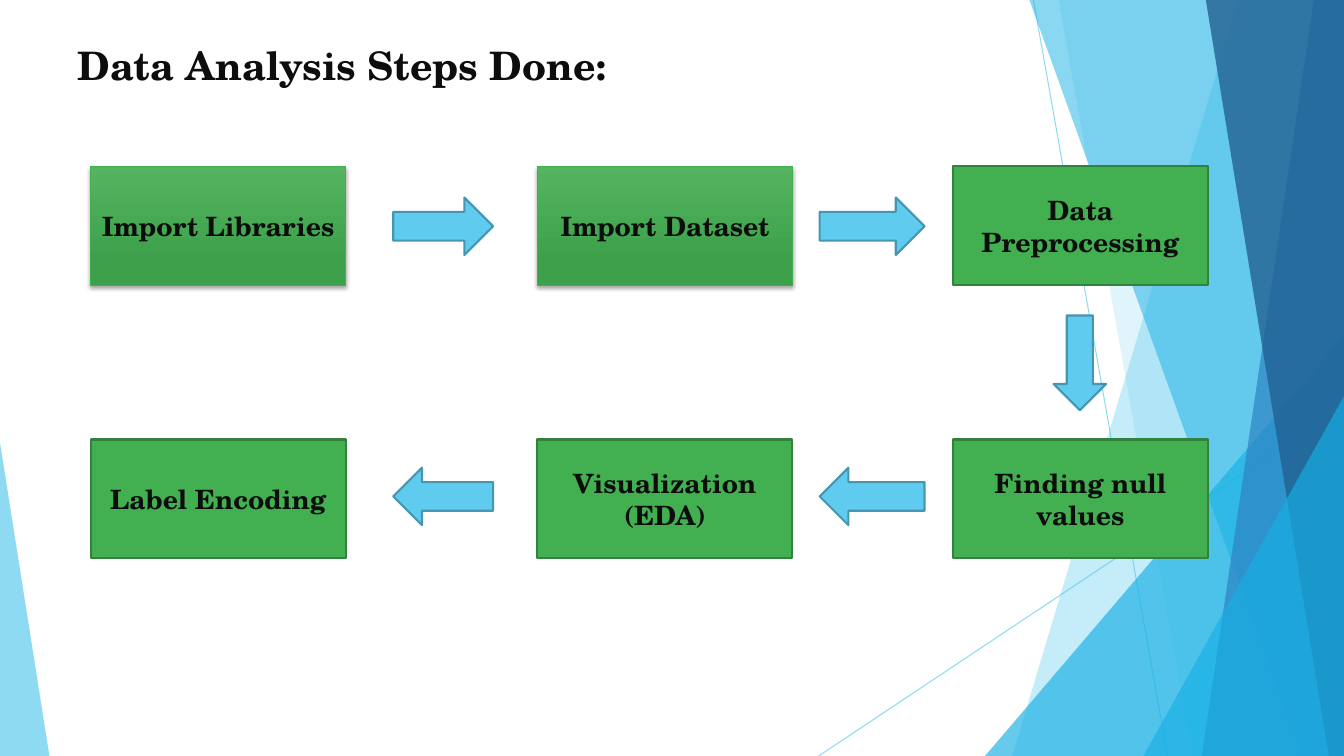
from lxml.etree import SubElement
from pptx import Presentation
from pptx.dml.color import RGBColor
from pptx.enum.shapes import MSO_CONNECTOR, MSO_SHAPE
from pptx.enum.text import MSO_ANCHOR, PP_ALIGN
from pptx.oxml.ns import qn
from pptx.util import Inches, Pt

WIDE, HIGH = 13.33, 7.5
FONT = "TeX Gyre Schola"
HUES = {
    "ink": "0D0D0D", "sky": "5FCBEF", "aqua": "17B0E4", "blue": "2E83C3",
    "navy": "226292", "edge": "4696B1", "green": "42B051", "moss": "31823C",
    "light": "56B461", "deep": "3CA14A", "black": "000000",
}

# Grid of the flow chart
COLS = (0.9, 5.33, 9.45)
ROWS = (1.65, 4.36)
BOX_W, BOX_H = 2.53, 1.18
GAPS = ((3.9, 0.99), (8.13, 1.04))  # left and width of the flat arrows
TOPS = (1.96, 4.64)
ARROW_H = 0.57

# Steps: text, column, row, raised look
STEPS = (
    ("Import Libraries", 0, 0, True),
    ("Import Dataset", 1, 0, True),
    ("Data Preprocessing", 2, 0, False),
    ("Finding null values", 2, 1, False),
    ("Visualization\n(EDA)", 1, 1, False),
    ("Label Encoding", 0, 1, False),
)

# Bands down the right side: top left, foot left, foot right, hue, opacity
BANDS_LOW = (
    (12.28, 10.04, WIDE, "sky", 36),
    (10.5, 11.83, WIDE, "sky", 20),
)
BANDS_TOP = (
    (10.21, 12.91, WIDE, "aqua", 50),
    (13.03, 11.92, WIDE, "blue", 70),
    (11.96, 13.18, WIDE, "navy", 80),
)


def tint(name):
    return RGBColor.from_string(HUES[name])


def fade(part, share):
    """Set the opacity, in percent, of the colour inside an element."""
    hue = next(part.iter(qn("a:srgbClr")))
    SubElement(hue, qn("a:alpha"), val=str(share * 1000))


def paint(shape, fill, line=None, width=1.5, share=None):
    shape.shadow.inherit = False
    shape.fill.solid()
    shape.fill.fore_color.rgb = tint(fill)
    if share:
        fade(shape._element.spPr.find(qn("a:solidFill")), share)
    if line:
        shape.line.color.rgb = tint(line)
        shape.line.width = Pt(width)
    else:
        shape.line.fill.background()


def add_form(slide, kind, left, top, width, height):
    return slide.shapes.add_shape(
        kind, Inches(left), Inches(top), Inches(width), Inches(height))


def add_ray(slide, start, end):
    ray = slide.shapes.add_connector(
        MSO_CONNECTOR.STRAIGHT, *(Inches(n) for n in start + end))
    ray.line.color.rgb = tint("sky")
    ray.line.width = Pt(0.75)
    props = ray._element.spPr
    fade(props.find(qn("a:ln")), 70)
    SubElement(props, qn("a:effectLst"))


def add_band(slide, top, foot, right, hue, share):
    pen = slide.shapes.build_freeform(Inches(top), 0, 1.0)
    edge = ((WIDE, 0), (WIDE, HIGH), (foot, HIGH))
    if right < WIDE:
        edge = ((WIDE, 0), (WIDE, HIGH), (right, HIGH))
    pen.add_line_segments([(Inches(x), Inches(y)) for x, y in edge])
    paint(pen.convert_to_shape(), hue, share=share)


def add_wedge(slide, left, width, height, peak, hue, share):
    """Add a triangle that stands on the foot of the slide."""
    wedge = add_form(slide, MSO_SHAPE.ISOSCELES_TRIANGLE,
                     left, HIGH - height, width, height)
    wedge.adjustments[0] = peak
    paint(wedge, hue, share=share)


def write(frame, text, size, align):
    frame.word_wrap = True
    for i, line in enumerate(text.split("\n")):
        para = frame.add_paragraph() if i else frame.paragraphs[0]
        para.text = line
        para.alignment = align
        para.font.name = FONT
        para.font.size = Pt(size)
        para.font.bold = True
        para.font.color.rgb = tint("ink")


def raise_box(box):
    """Give a box a gradient and a soft shadow below it."""
    box.fill.gradient()
    box.fill.gradient_angle = 270
    for stop, hue, place in zip(box.fill.gradient_stops,
                                ("light", "deep"), (0, 0.78)):
        stop.color.rgb = tint(hue)
        stop.position = place
    glow = SubElement(box._element.spPr.find(qn("a:effectLst")),
                      qn("a:outerShdw"), blurRad=str(Pt(3)), dist=str(Pt(2)),
                      dir="5400000", rotWithShape="0")
    SubElement(glow, qn("a:srgbClr"), val=HUES["black"])
    fade(glow, 35)


def add_step(slide, text, col, row, raised):
    box = add_form(slide, MSO_SHAPE.RECTANGLE,
                   COLS[col], ROWS[row], BOX_W, BOX_H)
    if raised:
        paint(box, "green", "green", 1)
        raise_box(box)
    else:
        paint(box, "green", "moss")
    frame = box.text_frame
    frame.margin_left = frame.margin_right = Inches(0.08)
    frame.vertical_anchor = MSO_ANCHOR.MIDDLE
    write(frame, text, 19, PP_ALIGN.CENTER)


def add_arrow(slide, kind, left, top, width, height):
    paint(add_form(slide, kind, left, top, width, height), "sky", "edge")


def add_title(slide, text):
    box = slide.shapes.add_textbox(
        Inches(0.67), Inches(0.36), Inches(7.01), Inches(0.57))
    write(box.text_frame, text, 28, PP_ALIGN.LEFT)


def add_decor(slide):
    add_ray(slide, (10.25, 0), (11.58, HIGH))
    add_ray(slide, (WIDE, 4.03), (8.12, HIGH))
    for band in BANDS_LOW:
        add_band(slide, *band)
    add_wedge(slide, 9.77, 3.56, 4.17, 1, "aqua", 66)
    for band in BANDS_TOP:
        add_band(slide, *band)
    add_wedge(slide, 11.34, 1.99, 3.57, 1, "aqua", 66)
    add_wedge(slide, 0, 0.49, 3.11, 0, "sky", 70)


def main():
    deck = Presentation()
    deck.slide_width, deck.slide_height = Inches(WIDE), Inches(HIGH)
    slide = deck.slides.add_slide(deck.slide_layouts[6])

    add_decor(slide)
    add_title(slide, "Data Analysis Steps Done:")

    # Flow: right along the top, down, then back to the left
    for step in STEPS:
        add_step(slide, *step)
    for kind, top in zip((MSO_SHAPE.RIGHT_ARROW, MSO_SHAPE.LEFT_ARROW), TOPS):
        for left, width in GAPS:
            add_arrow(slide, kind, left, top, width, ARROW_H)
    add_arrow(slide, MSO_SHAPE.DOWN_ARROW, 10.45, 3.13, 0.52, 0.94)

    deck.save("out.pptx")


if __name__ == "__main__":
    main()
